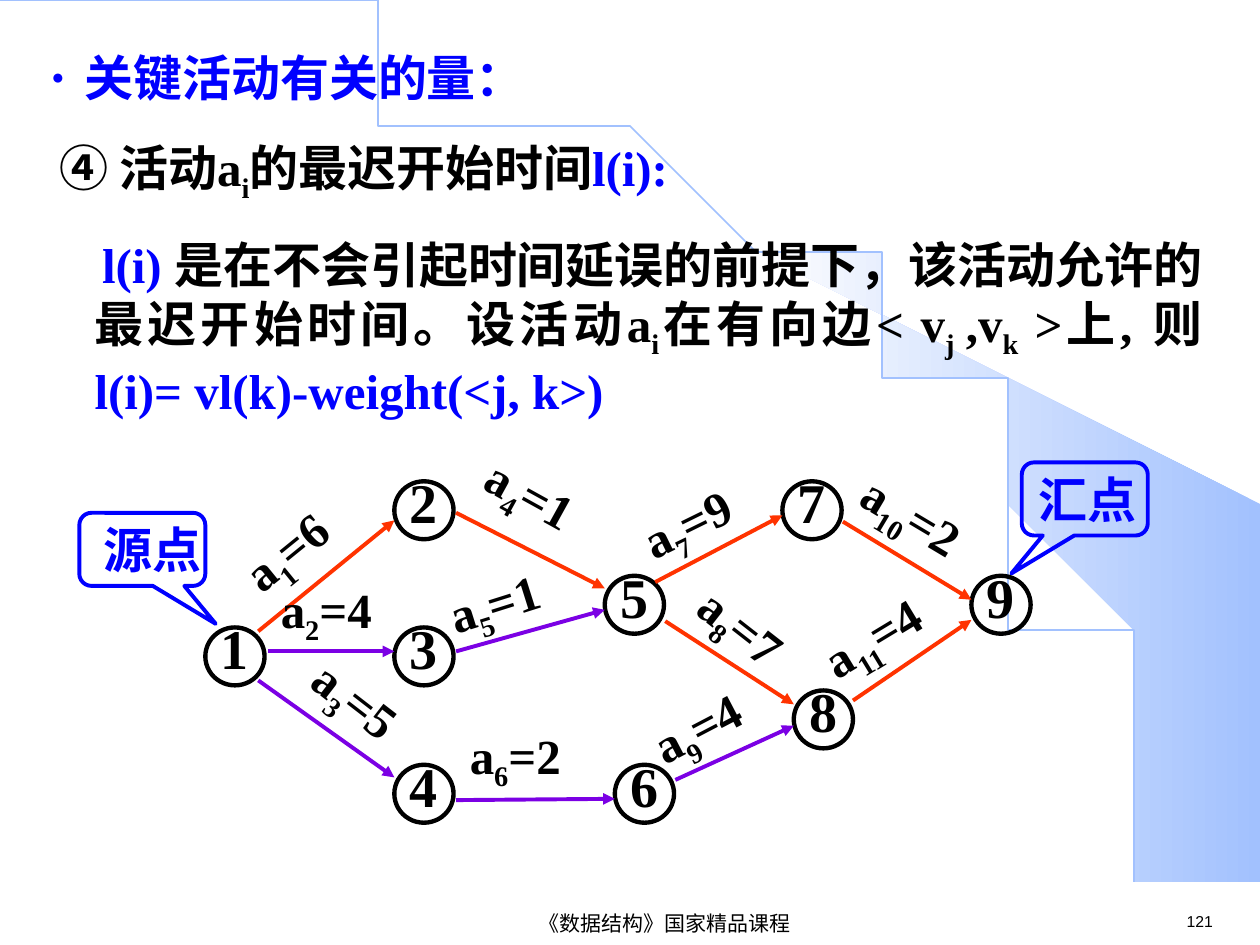
from lxml.etree import SubElement
from pptx import Presentation
from pptx.dml.color import RGBColor
from pptx.enum.shapes import MSO_CONNECTOR, MSO_SHAPE
from pptx.enum.text import MSO_ANCHOR, MSO_AUTO_SIZE, PP_ALIGN
from pptx.oxml.ns import qn
from pptx.util import Inches, Pt

BLACK, BLUE, RED, PURPLE, SKY = "000000", "0000FF", "FF3300", "7B00E4", "A2C1FE"
color = RGBColor.from_string


def write(para, spans, size, font="Times New Roman", bold=True):
    """Add (text, colour, is_subscript) runs to a paragraph."""
    for text, shade, subscript in spans:
        span = para.add_run()
        span.text = text
        span.font.size = Pt(size)
        span.font.name = font
        span.font.bold = bold
        span.font.color.rgb = color(shade)
        if subscript:
            span._r.get_or_add_rPr().set("baseline", "-25000")


def outline(shape, shade, width):
    """Leave only a plain outline, and centre any text in it."""
    shape.shadow.inherit = False
    shape.fill.background()
    shape.line.color.rgb = color(shade)
    shape.line.width = Pt(width)
    frame = shape.text_frame
    frame.word_wrap = False
    frame.vertical_anchor = MSO_ANCHOR.MIDDLE
    frame.margin_left = frame.margin_right = frame.margin_top = frame.margin_bottom = 0
    frame.paragraphs[0].alignment = PP_ALIGN.CENTER


deck = Presentation()
deck.slide_width, deck.slide_height = Inches(10), Inches(7.5)
page = deck.slides.add_slide(deck.slide_layouts[1])
title = page.shapes.title
title._element.getparent().remove(title._element)
shapes = page.shapes

# Background: shaded band and the arc along its edge
band_points = [
    (9.2, 7.48), (9.99, 7.49), (9.99, 4.23), (5.89, 1.73), (6.24, 1.99), (6.53, 2.22),
    (6.85, 2.5), (7.16, 2.8), (7.62, 3.3), (8.03, 3.84), (8.32, 4.31), (8.58, 4.79),
    (8.78, 5.28), (8.93, 5.72), (9.03, 6.09), (9.13, 6.56), (9.17, 6.96),
]
builder = shapes.build_freeform(*band_points[0], scale=Inches(1))
builder.add_line_segments(band_points[1:], close=True)
band = builder.convert_to_shape()
band.shadow.inherit = False
band.line.fill.background()
band.fill.gradient()
band.fill.gradient_angle = 180
for stop, shade in zip(band.fill.gradient_stops, (SKY, "FEFEFE")):
    stop.color.rgb = color(shade)

# Cubic curve from (0, 0) to (9.2, 7.49)
steps = [n / 60 for n in range(1, 61)]
arc_points = [
    (3 * (1 - t) ** 2 * t * 5.08 + 3 * (1 - t) * t ** 2 * 9.2 + t ** 3 * 9.2,
     3 * (1 - t) * t ** 2 * 3.35 + t ** 3 * 7.49)
    for t in steps
]
builder = shapes.build_freeform(0, 0, scale=Inches(1))
builder.add_line_segments(arc_points, close=False)
outline(builder.convert_to_shape(), SKY, 1)

# Footer and page number
for text, left, top, width, height, size, align in [
    ("121", 9.32, 7.19, 0.77, 0.25, 9, PP_ALIGN.LEFT),
    ("《数据结构》国家精品课程", 2.4, 7.21, 5.75, 0.24, 12, PP_ALIGN.CENTER),
]:
    box = shapes.add_textbox(Inches(left), Inches(top), Inches(width), Inches(height))
    if align == PP_ALIGN.CENTER:
        box.text_frame.vertical_anchor = MSO_ANCHOR.MIDDLE
    para = box.text_frame.paragraphs[0]
    para.alignment = align
    write(para, [(text, BLACK, False)], size, "Arial", False)

# Body text, in front of the background
body = page.placeholders[1]
shapes._spTree.append(body._element)
body.left, body.top, body.width, body.height = Inches(0.27), Inches(0.33), Inches(9.37), Inches(3.18)
body.text_frame.auto_size = MSO_AUTO_SIZE.NONE
body_paragraphs = [
    (0.3, -0.26, "●", [("关键活动有关的量：", BLUE, False)]),
    (0.1, 0, None, [
        ("④ 活动a", BLACK, False), ("i", BLACK, True),
        ("的最迟开始时间", BLACK, False), ("l(i):", BLUE, False)]),
    (0.38, 0.06, None, [
        ("l(i) ", BLUE, False),
        ("是在不会引起时间延误的前提下，该活动允许的最迟开始时间。设活动a", BLACK, False),
        ("i", BLACK, True), ("在有向边< v", BLACK, False), ("j ", BLACK, True),
        (",v", BLACK, False), ("k", BLACK, True), (" >上, 则 ", BLACK, False),
        ("l(i)= vl(k)-weight(<j, k>)", BLUE, False)]),
]
for index, (margin, indent, bullet, spans) in enumerate(body_paragraphs):
    para = body.text_frame.paragraphs[0] if index == 0 else body.text_frame.add_paragraph()
    para.alignment = PP_ALIGN.JUSTIFY
    para.line_spacing = 1.0
    para.space_before = Pt(17.5 if index else 0)
    properties = para._p.get_or_add_pPr()
    properties.set("marL", str(Inches(margin)))
    properties.set("indent", str(Inches(indent)))
    if bullet:
        SubElement(properties, qn("a:buSzPct"), val="43000")
        SubElement(properties, qn("a:buChar"), char=bullet)
    else:
        SubElement(properties, qn("a:buNone"))
    write(para, spans, 28)

# Vertices of the activity network
vertices = {
    1: (1.63, 4.98), 2: (3.13, 3.82), 3: (3.13, 4.98), 4: (3.13, 6.07), 5: (4.8, 4.57),
    6: (4.88, 6.07), 7: (6.21, 3.82), 8: (6.3, 5.48), 9: (7.71, 4.57),
}
for number, (left, top) in vertices.items():
    vertex = shapes.add_shape(MSO_SHAPE.OVAL, Inches(left), Inches(top), Inches(0.47), Inches(0.46))
    outline(vertex, BLACK, 2.5)
    vertex.text_frame.margin_bottom = Inches(0.14)
    write(vertex.text_frame.paragraphs[0], [(str(number), BLACK, False)], 32)

# Activities: start, end, colour
activities = [
    (2.13, 5.17, 3.13, 5.17, PURPLE), (2.05, 5.01, 3.13, 4.13, RED),
    (2.05, 5.4, 3.13, 6.17, PURPLE), (3.62, 5.17, 4.8, 4.84, PURPLE),
    (3.62, 4.07, 4.8, 4.67, RED), (3.62, 6.35, 4.88, 6.34, PURPLE),
    (5.36, 6.19, 6.3, 5.76, PURPLE), (5.2, 4.62, 6.21, 4.09, RED),
    (5.28, 4.93, 6.3, 5.59, RED), (6.77, 5.56, 7.71, 4.92, RED),
    (6.69, 4.14, 7.71, 4.76, RED),
]
for *ends, shade in activities:
    arrow = shapes.add_connector(MSO_CONNECTOR.STRAIGHT, *[Inches(value) for value in ends])
    arrow.line.color.rgb = color(shade)
    arrow.line.width = Pt(2.25)
    SubElement(arrow.line._get_or_add_ln(), qn("a:tailEnd"), type="triangle")
    SubElement(arrow._element.spPr, qn("a:effectLst"))

# Activity weights: index, weight, left, top, width, rotation
weights = [
    (1, 6, 1.8, 4, 1.17, 320.9), (2, 4, 2.13, 4.55, 1.42, 0), (3, 5, 2.3, 5.41, 1.42, 37.7),
    (4, 1, 3.71, 3.75, 1.42, 28.9), (5, 1, 3.46, 4.42, 1.42, 342.4), (6, 2, 3.63, 5.71, 1.42, 0),
    (7, 9, 4.98, 3.75, 1.42, 333.8), (8, 7, 5.36, 4.83, 1.42, 38), (9, 4, 5.06, 5.37, 1.42, 332.4),
    (10, 2, 6.68, 3.9, 1.42, 30.9), (11, 4, 6.4, 4.66, 1.42, 328.8),
]
for index, weight, left, top, width, rotation in weights:
    label = shapes.add_textbox(Inches(left), Inches(top), Inches(width), Inches(0.63))
    label.rotation = rotation
    label.text_frame.word_wrap = True
    spans = [("a", BLACK, False), (str(index), BLACK, True), (f"={weight}", BLACK, False)]
    write(label.text_frame.paragraphs[0], spans, 28)

# Callouts for the source and the sink
for text, left, top, tip, text_inset in [
    ("汇点", 8.11, 3.67, -0.583, 0.04), ("源点", 0.63, 4.07, 0.583, 0.16),
]:
    callout = shapes.add_shape(
        MSO_SHAPE.ROUNDED_RECTANGULAR_CALLOUT, Inches(left), Inches(top), Inches(1), Inches(0.58))
    callout.adjustments[0] = tip
    callout.adjustments[1] = 1.02
    outline(callout, BLUE, 2.25)
    callout.text_frame.margin_left = Inches(text_inset)
    write(callout.text_frame.paragraphs[0], [(text, BLUE, False)], 28)

deck.save("out.pptx")
